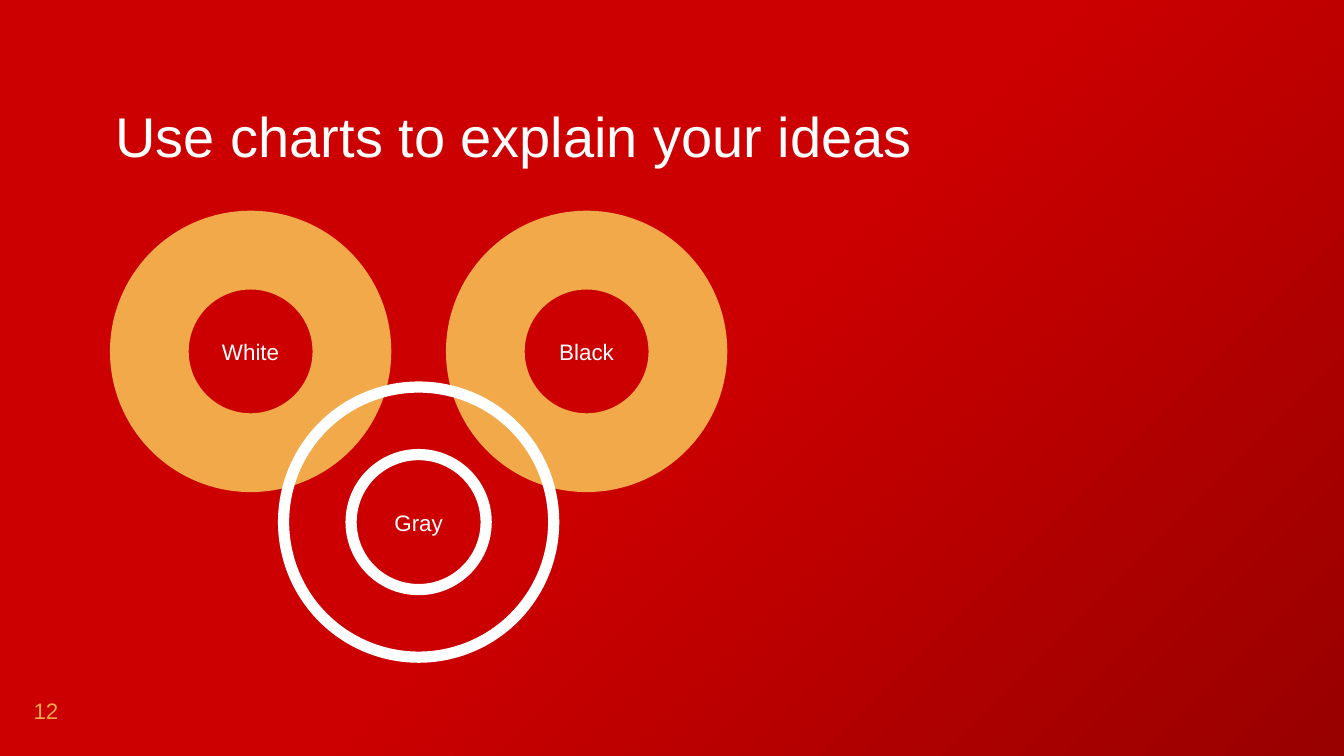
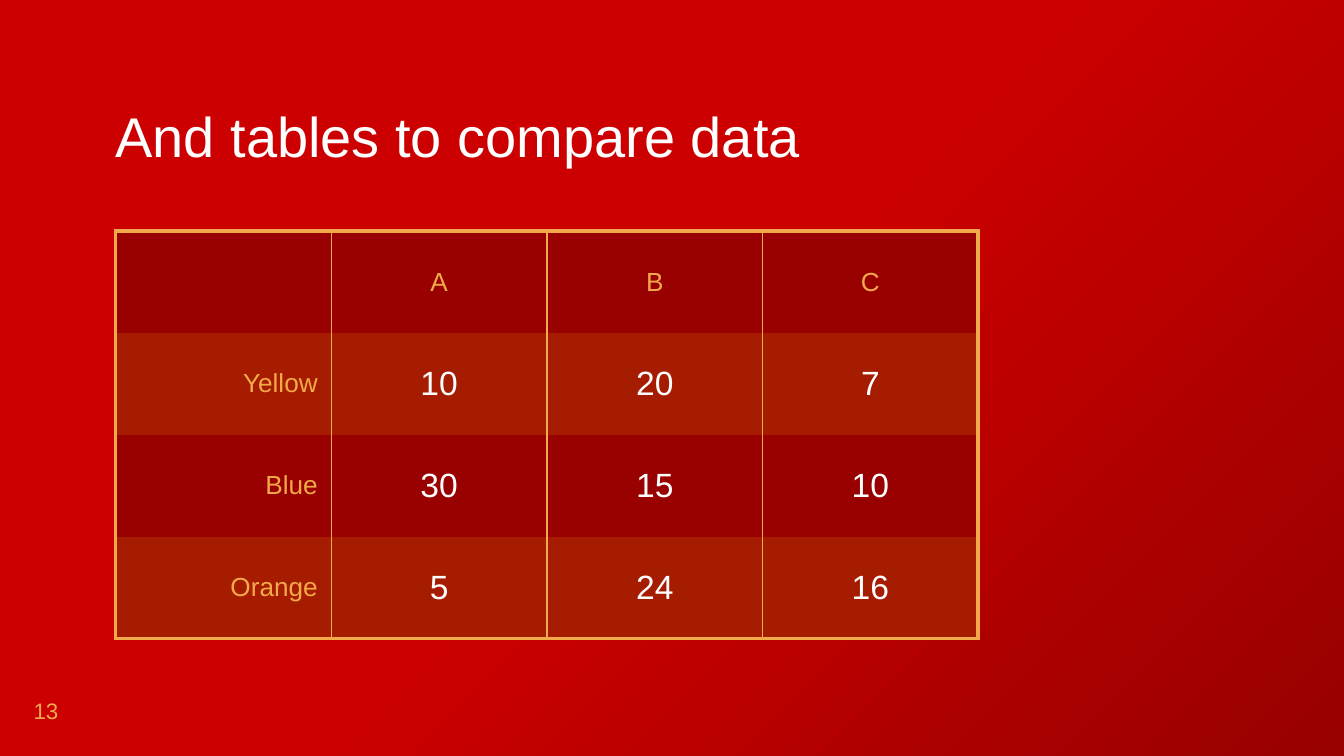
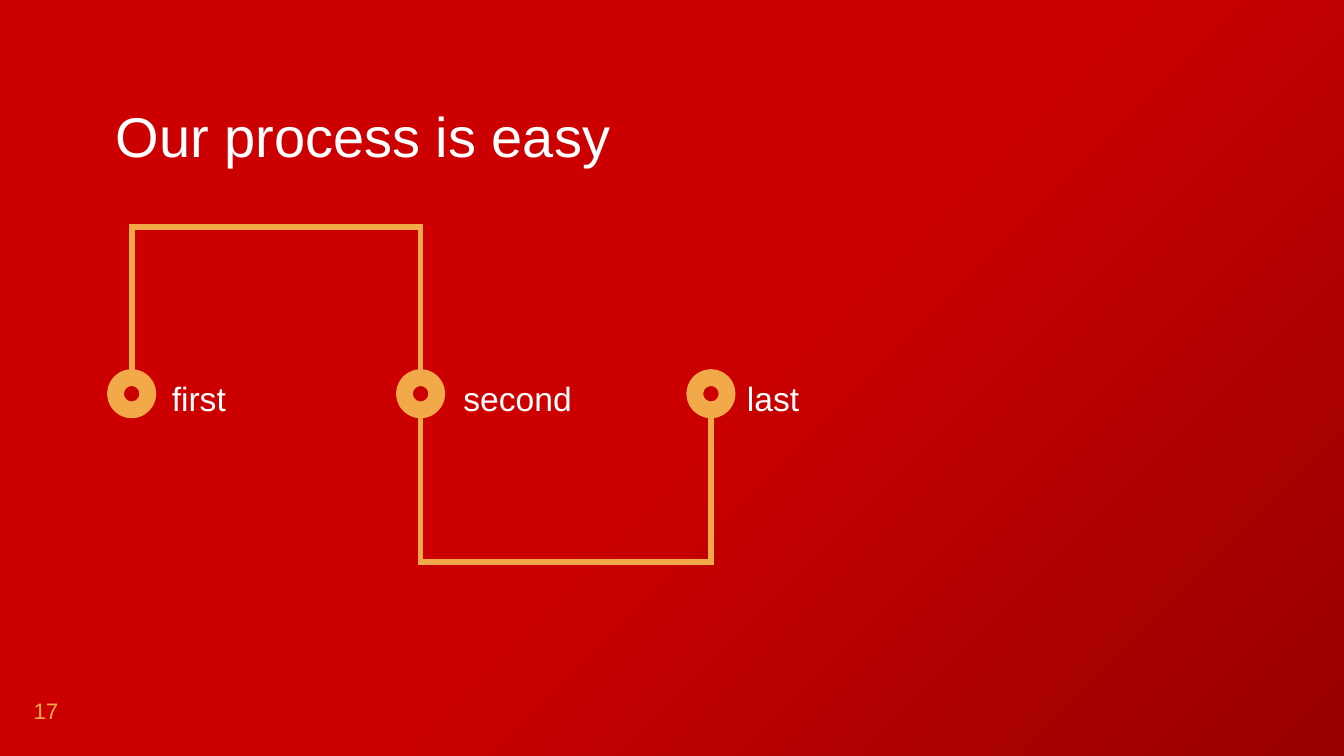
from copy import deepcopy

from lxml import etree
from pptx import Presentation
from pptx.dml.color import RGBColor
from pptx.enum.shapes import MSO_SHAPE
from pptx.enum.text import MSO_ANCHOR, PP_ALIGN
from pptx.oxml.ns import qn
from pptx.util import Inches, Pt

RED = RGBColor(0xCC, 0x00, 0x00)
DARK_RED = RGBColor(0x99, 0x00, 0x00)
RUST = RGBColor(0xA6, 0x1C, 0x00)
GOLD = RGBColor(0xF2, 0xA9, 0x49)
WHITE = RGBColor(0xFF, 0xFF, 0xFF)
FONT = "Arial"

DONUT, OVAL = MSO_SHAPE.DONUT, MSO_SHAPE.OVAL
LEFT, CENTER, RIGHT = PP_ALIGN.LEFT, PP_ALIGN.CENTER, PP_ALIGN.RIGHT
TOP, MIDDLE = MSO_ANCHOR.TOP, MSO_ANCHOR.MIDDLE

SLIDE_WIDTH = 10
SLIDE_HEIGHT = SLIDE_WIDTH * 9 / 16
MARGIN, CONTENT_WIDTH = 0.86, 6.42

# label, left, top, fill, line
RINGS = [
    ("White", MARGIN, 1.61, GOLD, GOLD),
    ("Black", MARGIN + 2.5, 1.61, GOLD, GOLD),
    ("Gray", MARGIN + 1.25, 2.88, None, WHITE),
]
RING_SIZE = 2.01

TABLE_ROWS = [
    ("", "A", "B", "C"),
    ("Yellow", "10", "20", "7"),
    ("Blue", "30", "15", "10"),
    ("Orange", "5", "24", "16"),
]
TABLE_TOP, TABLE_HEIGHT = 1.72, 3.03
OUTER_BORDER, INNER_BORDER = 2.25, 0.75

# label, left of stop, left of label, width of label
STOPS = [
    ("first", 0.86, 1.18, 1.29),
    ("second", 3.01, 3.35, 1.29),
    ("last", 5.17, 5.46, 1.17),
]
STOP_TOP, STOP_SIZE = 2.81, 0.24
ROUTE_TOP, ROUTE_MIDDLE, ROUTE_BOTTOM = 1.69, 2.91, 4.18


def inches(*lengths):
    return [Inches(length) for length in lengths]


def write(frame, text, size, color, align=LEFT, anchor=TOP, inset=0.0):
    frame.word_wrap = True
    frame.vertical_anchor = anchor
    for side in ("left", "top", "right", "bottom"):
        setattr(frame, f"margin_{side}", Inches(inset))
    return write_line(frame.paragraphs[0], text, size, color, align)


def write_line(paragraph, text, size, color, align):
    paragraph.alignment = align
    run = paragraph.add_run()
    run.text = text
    run.font.name, run.font.size = FONT, Pt(size)
    run.font.color.rgb = color
    return paragraph


def add_text(slide, box, *args, **options):
    return write(slide.shapes.add_textbox(*inches(*box)).text_frame, *args, **options)


def paint(shape, fill, line, width):
    shape.shadow.inherit = False
    if fill is None:
        shape.fill.background()
    else:
        shape.fill.solid()
        shape.fill.fore_color.rgb = fill
    shape.line.color.rgb = line
    shape.line.width = Pt(width)


def paint_background(slide):
    fill = slide.background.fill
    fill.gradient()
    fill.gradient_angle = 315
    for stop, color in zip(fill.gradient_stops, (RED, DARK_RED)):
        stop.color.rgb = color
    first = slide.element.find(f".//{qn('a:gs')}")
    halfway = deepcopy(first)
    halfway.set("pos", "50000")
    first.addnext(halfway)


def add_slide(deck, title, number, draw):
    slide = deck.slides.add_slide(deck.slide_layouts[6])
    paint_background(slide)
    draw(slide)
    heading = add_text(slide, (MARGIN, 0.85, CONTENT_WIDTH, 0.53), title, 30, WHITE)
    heading.line_spacing = 0.8
    add_text(slide, (0.25, 5.19, 0.6, 0.43), number, 12, GOLD)


def draw_rings(slide):
    for label, left, top, fill, line in RINGS:
        ring = slide.shapes.add_shape(DONUT, *inches(left, top, RING_SIZE, RING_SIZE))
        ring.adjustments[0] = 0.25
        paint(ring, fill, line, 6)
        write(ring.text_frame, label, 12, WHITE, CENTER, MIDDLE, 0.1)


def set_borders(cell, widths):
    """Draw the left, right, top and bottom border; a width of 0 means no line."""
    properties = cell._tc.get_or_add_tcPr()
    for side, width in zip("LRTB", widths):
        border = etree.SubElement(properties, qn(f"a:ln{side}"), w=str(Pt(width)))
        if width:
            fill = etree.SubElement(border, qn("a:solidFill"))
            etree.SubElement(fill, qn("a:srgbClr"), val=str(GOLD))
        else:
            etree.SubElement(border, qn("a:noFill"))


def draw_table(slide):
    row_count, column_count = len(TABLE_ROWS), len(TABLE_ROWS[0])
    table = slide.shapes.add_table(row_count, column_count, *inches(
        MARGIN, TABLE_TOP, CONTENT_WIDTH, TABLE_HEIGHT)).table
    table.first_row = table.horz_banding = False
    for r, values in enumerate(TABLE_ROWS):
        for c, value in enumerate(values):
            cell = table.cell(r, c)
            set_borders(cell, (
                OUTER_BORDER if c == 0 else INNER_BORDER,
                OUTER_BORDER if c == column_count - 1 else INNER_BORDER,
                OUTER_BORDER if r == 0 else 0,
                OUTER_BORDER if r == row_count - 1 else 0,
            ))
            cell.fill.solid()
            cell.fill.fore_color.rgb = RUST if r % 2 else DARK_RED
            cell.vertical_anchor = MIDDLE
            cell.margin_left = cell.margin_right = Inches(0.1)
            cell.margin_top = cell.margin_bottom = Inches(0.07)
            if value:
                size, color = (18, WHITE) if r and c else (14, GOLD)
                write_line(cell.text_frame.paragraphs[0], value, size, color,
                           CENTER if c else RIGHT)


def draw_process(slide):
    first, second, last = (left + STOP_SIZE / 2 for _, left, _, _ in STOPS)
    corners = [(first, ROUTE_TOP), (second, ROUTE_TOP), (second, ROUTE_BOTTOM),
               (last, ROUTE_BOTTOM), (last, ROUTE_MIDDLE)]
    builder = slide.shapes.build_freeform(*inches(first, ROUTE_MIDDLE))
    builder.add_line_segments([inches(*corner) for corner in corners], close=False)
    route = builder.convert_to_shape()
    paint(route, None, GOLD, 3)
    outline = route.element.find(f".//{qn('a:ln')}")
    etree.SubElement(outline, qn("a:miter"), lim="800000")

    for label, left, label_left, label_width in STOPS:
        stop = slide.shapes.add_shape(OVAL, *inches(left, STOP_TOP, STOP_SIZE, STOP_SIZE))
        paint(stop, RED, GOLD, 9)
        add_text(slide, (label_left, 2.71, label_width, 0.45), label, 18, WHITE, inset=0.1)


SLIDES = [
    ("Use charts to explain your ideas", "12", draw_rings),
    ("And tables to compare data", "13", draw_table),
    ("Our process is easy", "17", draw_process),
]


def main():
    deck = Presentation()
    deck.slide_width, deck.slide_height = inches(SLIDE_WIDTH, SLIDE_HEIGHT)
    for title, number, draw in SLIDES:
        add_slide(deck, title, number, draw)
    deck.save("out.pptx")


if __name__ == "__main__":
    main()
